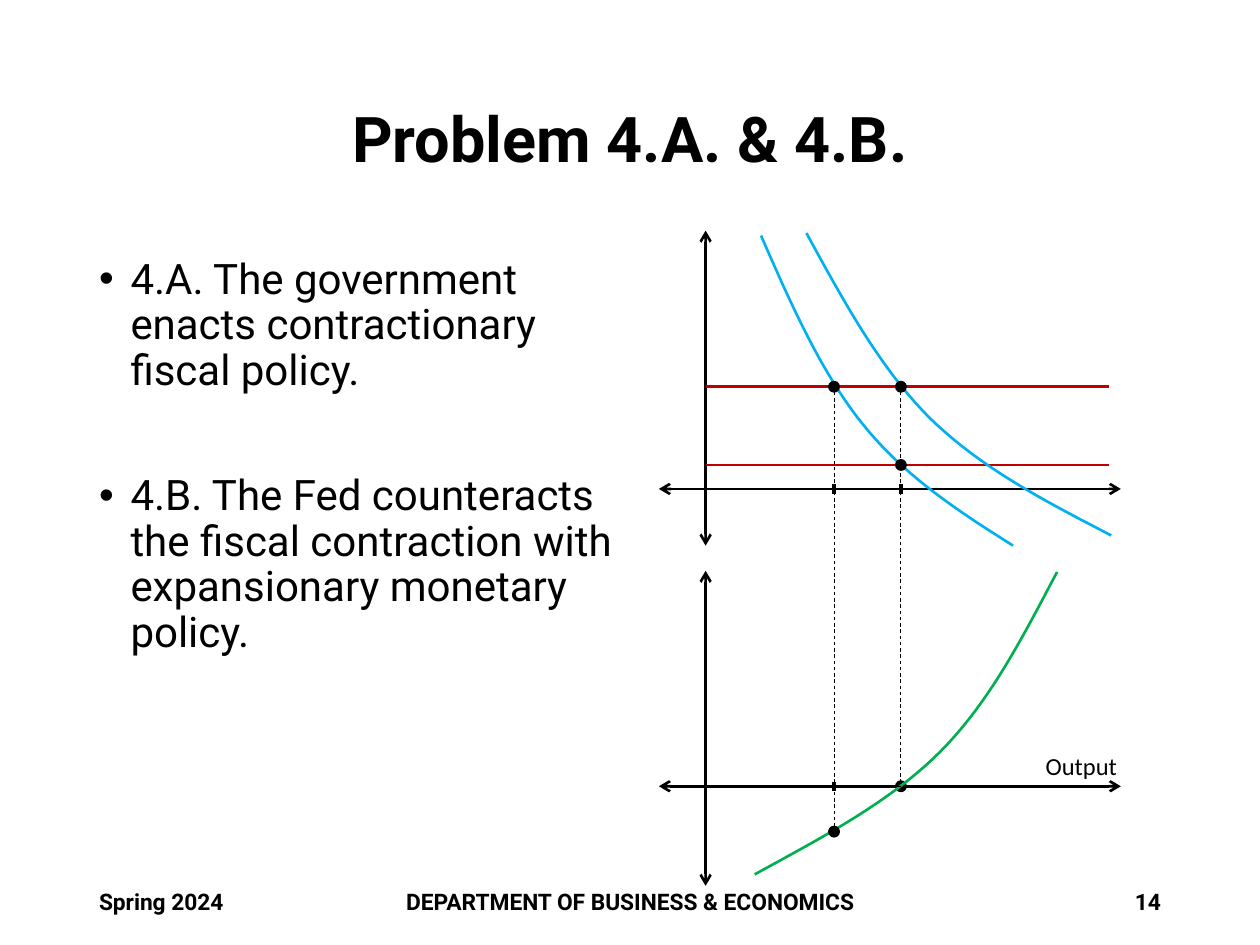
from lxml.etree import SubElement
from pptx import Presentation
from pptx.dml.color import RGBColor
from pptx.enum.dml import MSO_LINE
from pptx.enum.shapes import MSO_CONNECTOR, MSO_SHAPE
from pptx.enum.text import MSO_ANCHOR, PP_ALIGN
from pptx.oxml.ns import qn
from pptx.util import Pt

BLACK, RED, BLUE, GREEN = "000000", "C00000", "00B0F0", "00B050"
PANEL_LEFT, PANEL_WIDTH, PANEL_HEIGHT = 376.5, 264, 180
MARKET_TOP, OUTPUT_TOP = 131.8, 326.2
MARKET_AXIS, OUTPUT_AXIS = 147.6, 123.1
PRICE_AXIS = 26.7
LOW_OUTPUT, HIGH_OUTPUT = 100.1, 138.3
HIGH_RATE, LOW_RATE = 89.2, 133.9
LOW_POINT = 149
DOT_RADIUS, TICK_RADIUS = 2.9, 2.7

OUTER_DEMAND = [(84.3, 1.4), (105.2, 39.6), (126.1, 78.4), (154.9, 107.2),
                (184.4, 136), (221.1, 154.8), (258.5, 174.2)]
INNER_DEMAND = [(58.4, 2.8), (75.7, 42.4), (92.9, 81.3), (116.7, 110.8),
                (140.5, 140.4), (171.4, 160.5), (202.4, 180)]
OUTPUT_CURVE = [(54.8, 173.5), (92.9, 152.6), (131.8, 132.4), (160.6, 103.6),
                (189.4, 74.8), (208.1, 37.4), (227.6, 0.7)]


def color(value):
    return RGBColor.from_string(value)


def add_text(slide, box, paragraphs, size, font="Roboto", bold=False,
             align=PP_ALIGN.LEFT, anchor=MSO_ANCHOR.MIDDLE, wrap=True,
             line_spacing=None, gap=0, bullet=False):
    shape = slide.shapes.add_textbox(*map(Pt, box))
    frame = shape.text_frame
    frame.word_wrap = wrap
    frame.vertical_anchor = anchor
    for index, text in enumerate(paragraphs):
        paragraph = frame.add_paragraph() if index else frame.paragraphs[0]
        if bullet:
            properties = paragraph._p.get_or_add_pPr()
            properties.set("marL", str(Pt(18)))
            properties.set("indent", str(-Pt(18)))
            SubElement(properties, qn("a:buFont")).set("typeface", "Arial")
            SubElement(properties, qn("a:buChar")).set("char", "•")
        paragraph.alignment = align
        paragraph.line_spacing = line_spacing
        paragraph.space_before = Pt(gap if index else 0)
        run = paragraph.add_run()
        run.text = text
        run.font.name = font
        run.font.size = Pt(size)
        run.font.bold = bold
        run.font.color.rgb = color(BLACK)


def add_line(slide, start, end, line_color=BLACK, width=1.5, dashed=False, arrows=False):
    connector = slide.shapes.add_connector(
        MSO_CONNECTOR.STRAIGHT, *map(Pt, (*start, *end)))
    connector.line.color.rgb = color(line_color)
    connector.line.width = Pt(width)
    if dashed:
        connector.line.dash_style = MSO_LINE.DASH
    if arrows:
        outline = connector.line._get_or_add_ln()
        for tag in ("a:headEnd", "a:tailEnd"):
            SubElement(outline, qn(tag)).set("type", "arrow")
    SubElement(connector._element.spPr, qn("a:effectLst"))


def add_dot(slide, x, y):
    shape = slide.shapes.add_shape(
        MSO_SHAPE.OVAL, Pt(x - DOT_RADIUS), Pt(y - DOT_RADIUS),
        Pt(2 * DOT_RADIUS), Pt(2 * DOT_RADIUS))
    shape.shadow.inherit = False
    shape.fill.solid()
    shape.fill.fore_color.rgb = color(BLACK)
    shape.line.color.rgb = color(BLACK)
    shape.line.width = Pt(1)


def add_tick(slide, x, y):
    add_line(slide, (x, y - TICK_RADIUS), (x, y + TICK_RADIUS), width=2.25)


def bezier_points(controls, steps=20):
    points = [controls[0]]
    for first in range(0, len(controls) - 1, 3):
        segment = controls[first:first + 4]
        for step in range(1, steps + 1):
            t = step / steps
            weights = ((1 - t) ** 3, 3 * t * (1 - t) ** 2, 3 * t * t * (1 - t), t ** 3)
            points.append(tuple(
                sum(weight * point[axis] for weight, point in zip(weights, segment))
                for axis in (0, 1)))
    return points


def add_curve(slide, left, top, controls, line_color):
    points = [(Pt(left + x), Pt(top + y)) for x, y in bezier_points(controls)]
    builder = slide.shapes.build_freeform(*points[0])
    builder.add_line_segments(points[1:], close=False)
    shape = builder.convert_to_shape()
    shape.shadow.inherit = False
    shape.fill.background()
    shape.line.color.rgb = color(line_color)
    shape.line.width = Pt(1.5)


def add_axes(slide, left, top, axis):
    add_line(slide, (left, top + axis), (left + PANEL_WIDTH, top + axis), arrows=True)
    x = left + PRICE_AXIS
    add_line(slide, (x, top), (x, top + PANEL_HEIGHT), arrows=True)


def add_market_panel(slide, left, top):
    add_axes(slide, left, top, MARKET_AXIS)
    for rate in (HIGH_RATE, LOW_RATE):
        add_line(slide, (left + PRICE_AXIS, top + rate), (left + 257, top + rate), RED)
    for curve in (OUTER_DEMAND, INNER_DEMAND):
        add_curve(slide, left, top, curve, BLUE)
    for x, y in ((HIGH_OUTPUT, HIGH_RATE), (LOW_OUTPUT, HIGH_RATE), (HIGH_OUTPUT, LOW_RATE)):
        add_dot(slide, left + x, top + y)
    for x in (LOW_OUTPUT, HIGH_OUTPUT):
        add_tick(slide, left + x, top + MARKET_AXIS)


def add_output_panel(slide, left, top):
    axis = top + OUTPUT_AXIS
    for x in (LOW_OUTPUT, HIGH_OUTPUT):
        add_tick(slide, left + x, axis)
    add_dot(slide, left + HIGH_OUTPUT, axis)
    add_axes(slide, left, top, OUTPUT_AXIS)
    add_curve(slide, left, top, OUTPUT_CURVE, GREEN)
    add_dot(slide, left + LOW_OUTPUT, top + LOW_POINT)
    add_line(slide, (left + HIGH_OUTPUT, axis), (left + PRICE_AXIS, axis),
             width=0.5, dashed=True)
    add_text(slide, (left + 213.9, axis - 23.8, 56, 24.5), ["Output"], 14,
             font="Calibri", anchor=MSO_ANCHOR.TOP, wrap=False)


def add_guides(slide, left, top, bottom):
    for x, depth in ((LOW_OUTPUT, LOW_POINT), (HIGH_OUTPUT, OUTPUT_AXIS)):
        add_line(slide, (left + x, top + HIGH_RATE + DOT_RADIUS),
                 (left + x, bottom + depth), width=0.5, dashed=True)


def add_footer(slide, left, top, width, height):
    side = 162
    center = 453.6
    for text, x, part, align in (
            ("Spring 2024", left, side, PP_ALIGN.LEFT),
            ("DEPARTMENT OF BUSINESS & ECONOMICS", left + (width - center) / 2,
             center, PP_ALIGN.CENTER),
            ("14", left + width - side, side, PP_ALIGN.RIGHT)):
        add_text(slide, (x, top, part, height), [text], 13, bold=True, align=align)


def main():
    presentation = Presentation()
    presentation.slide_width = Pt(720)
    presentation.slide_height = Pt(540)
    slide = presentation.slides.add_slide(presentation.slide_layouts[6])
    add_text(slide, (49.5, 28.8, 621, 104.4), ["Problem 4.A. & 4.B."], 36,
             bold=True, align=PP_ALIGN.CENTER, line_spacing=0.9)
    add_text(slide, (49.5, 144, 322, 342.7),
             ["4.A. The government enacts contractionary fiscal policy.",
              "4.B. The Fed counteracts the fiscal contraction with expansionary monetary policy."],
             24, anchor=MSO_ANCHOR.TOP, line_spacing=0.9, gap=46, bullet=True)
    add_footer(slide, 49.5, 500.5, 621, 28.75)
    add_output_panel(slide, PANEL_LEFT, OUTPUT_TOP)
    add_market_panel(slide, PANEL_LEFT, MARKET_TOP)
    add_guides(slide, PANEL_LEFT, MARKET_TOP, OUTPUT_TOP)
    presentation.save("out.pptx")


if __name__ == "__main__":
    main()
